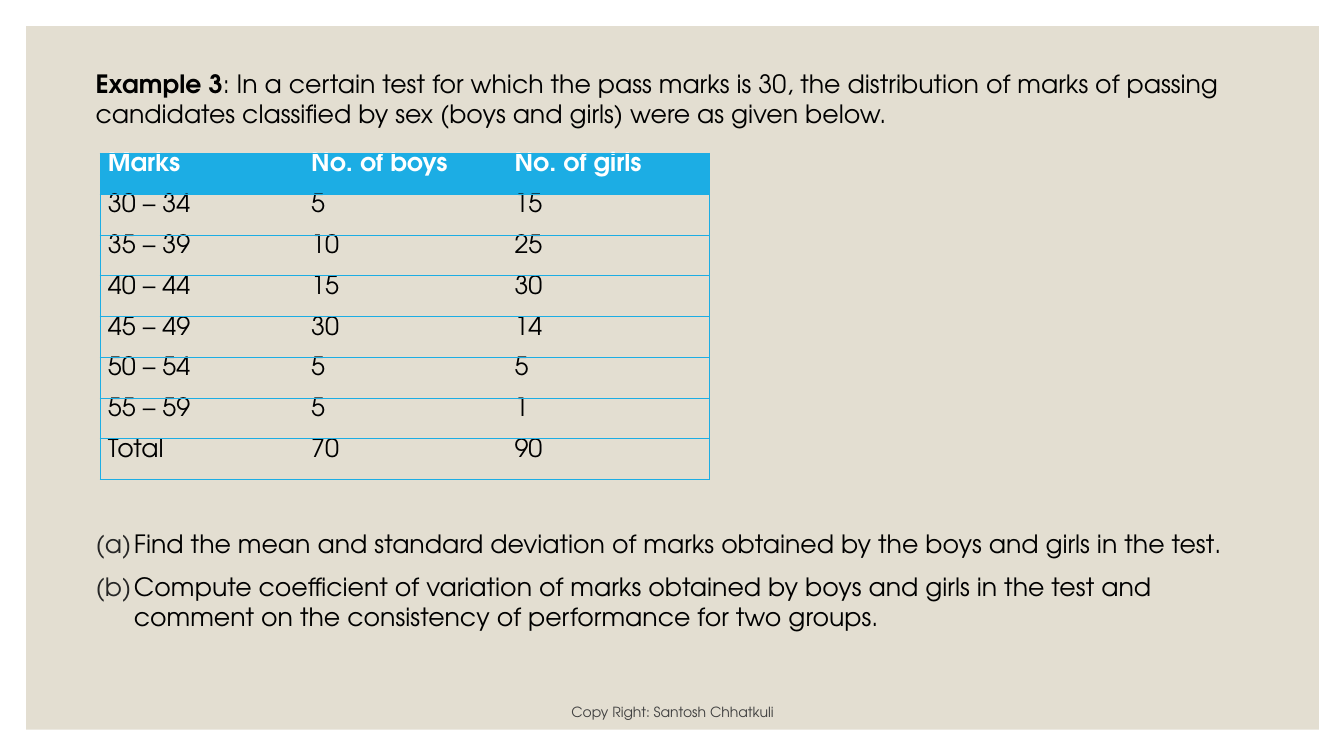
from dataclasses import dataclass

import lxml.etree
import pptx
import pptx.dml.color
import pptx.enum.shapes
import pptx.enum.text
import pptx.oxml.ns
import pptx.slide
import pptx.table
import pptx.text.text
import pptx.util

EMU_PER_PX = 9144  # 100 px to the inch


@dataclass(frozen=True)
class Theme:
    font: str = "TeX Gyre Adventor"
    panel: str = "E3DED1"
    accent: str = "1CADE4"
    ink: str = "000000"
    header_ink: str = "FFFFFF"
    footer_ink: str = "404040"
    numbering: str = "262626"
    body_size: int = 18
    footer_size: int = 10
    paragraph_gap: int = 9
    rule_width: float = 0.5


@dataclass(frozen=True)
class Box:
    left: int
    top: int
    width: int
    height: int

    def emu(self) -> list[pptx.util.Emu]:
        return [px(v) for v in (self.left, self.top, self.width, self.height)]


@dataclass(frozen=True)
class TextBlock:
    box: Box
    paragraphs: tuple[str, ...]
    size: int
    color: str
    lead: str = ""
    numbered: bool = False
    centered: bool = False


THEME = Theme()
PANEL = Box(26, 26, 1282, 698)
MARKS_BOX = Box(99, 152, 605, 324)
CELL_SIDE_MARGIN = 8
NUMBER_INDENT = 38

TEXT_BLOCKS = (
    TextBlock(
        Box(85, 63, 1174, 75),
        (": In a certain test for which the pass marks is 30, the distribution of marks "
         "of passing candidates classified by sex (boys and girls) were as given below.",),
        THEME.body_size, THEME.ink, lead="Example 3",
    ),
    TextBlock(
        Box(85, 519, 1174, 141),
        ("Find the mean and standard deviation of marks obtained by the boys and girls in the test.",
         "Compute coefficient of variation of marks obtained by boys and girls in the test "
         "and comment on the consistency of performance for two groups."),
        THEME.body_size, THEME.ink, numbered=True,
    ),
    TextBlock(
        Box(382, 690, 570, 30), ("Copy Right: Santosh Chhatkuli",),
        THEME.footer_size, THEME.footer_ink, centered=True,
    ),
)

MARKS = (
    ("Marks", "No. of boys", "No. of girls"),
    ("30 – 34", "5", "15"),
    ("35 – 39", "10", "25"),
    ("40 – 44", "15", "30"),
    ("45 – 49", "30", "14"),
    ("50 – 54", "5", "5"),
    ("55 – 59", "5", "1"),
    ("Total", "70", "90"),
)


def px(length: int) -> pptx.util.Emu:
    return pptx.util.Emu(length * EMU_PER_PX)


def rgb(color: str) -> pptx.dml.color.RGBColor:
    return pptx.dml.color.RGBColor.from_string(color)


def add_element(parent: lxml.etree._Element, tag: str, **attributes: str) -> lxml.etree._Element:
    return lxml.etree.SubElement(parent, pptx.oxml.ns.qn(tag), attributes)


def style_run(run: pptx.text.text._Run, size: int, color: str, bold: bool = False) -> None:
    run.font.name = THEME.font
    run.font.size = pptx.util.Pt(size)
    run.font.bold = bold
    run.font.color.rgb = rgb(color)


def number_paragraph(paragraph: pptx.text.text._Paragraph) -> None:
    """Give the paragraph a hanging (a), (b), ... number."""
    properties = paragraph._p.get_or_add_pPr()
    properties.set("marL", str(px(NUMBER_INDENT)))
    properties.set("indent", str(px(-NUMBER_INDENT)))
    add_element(add_element(properties, "a:buClr"), "a:srgbClr", val=THEME.numbering)
    add_element(properties, "a:buFont", typeface=THEME.font)
    add_element(properties, "a:buAutoNum", type="alphaLcParenBoth")


def add_panel(slide: pptx.slide.Slide) -> None:
    panel = slide.shapes.add_shape(pptx.enum.shapes.MSO_SHAPE.RECTANGLE, *PANEL.emu())
    panel.shadow.inherit = False
    panel.fill.solid()
    panel.fill.fore_color.rgb = rgb(THEME.panel)
    panel.line.fill.background()


def add_text_block(slide: pptx.slide.Slide, block: TextBlock) -> None:
    frame = slide.shapes.add_textbox(*block.box.emu()).text_frame
    frame.word_wrap = True
    if block.centered:
        frame.vertical_anchor = pptx.enum.text.MSO_ANCHOR.BOTTOM
    for index, wording in enumerate(block.paragraphs):
        paragraph = frame.add_paragraph() if index else frame.paragraphs[0]
        if block.numbered:
            number_paragraph(paragraph)
        if block.centered:
            paragraph.alignment = pptx.enum.text.PP_ALIGN.CENTER
        if index:
            paragraph.space_before = pptx.util.Pt(THEME.paragraph_gap)
        elif block.lead:
            paragraph.text = block.lead
            style_run(paragraph.runs[0], block.size, block.color, bold=True)
        body = paragraph.add_run()
        body.text = wording
        style_run(body, block.size, block.color)


def rule_cell(cell: pptx.table._Cell, ruled_sides: str) -> None:
    """Rule the given sides of a cell (out of LRTB) and clear the others."""
    properties = cell._tc.get_or_add_tcPr()
    for side in "LRTB":
        rule = add_element(properties, f"a:ln{side}", w=str(pptx.util.Pt(THEME.rule_width)))
        if side in ruled_sides:
            add_element(add_element(rule, "a:solidFill"), "a:srgbClr", val=THEME.accent)
        else:
            add_element(rule, "a:noFill")


def add_marks_table(slide: pptx.slide.Slide) -> None:
    last_column = len(MARKS[0]) - 1
    table = slide.shapes.add_table(len(MARKS), last_column + 1, *MARKS_BOX.emu()).table
    table.horz_banding = False
    for row, entries in enumerate(MARKS):
        is_header = row == 0
        for column, entry in enumerate(entries):
            cell = table.cell(row, column)
            cell.margin_left = cell.margin_right = px(CELL_SIDE_MARGIN)
            cell.margin_top = cell.margin_bottom = 0
            rule_cell(cell, "TB" + "L" * (column == 0) + "R" * (column == last_column))
            if is_header:
                cell.fill.solid()
                cell.fill.fore_color.rgb = rgb(THEME.accent)
            else:
                cell.fill.background()
            cell.text_frame.text = entry
            style_run(cell.text_frame.paragraphs[0].runs[0], THEME.body_size,
                      THEME.header_ink if is_header else THEME.ink, bold=is_header)


def main() -> None:
    presentation = pptx.Presentation()
    presentation.slide_width, presentation.slide_height = px(1333), px(750)
    slide = presentation.slides.add_slide(presentation.slide_layouts[6])
    add_panel(slide)
    add_marks_table(slide)
    for block in TEXT_BLOCKS:
        add_text_block(slide, block)
    presentation.save("out.pptx")


if __name__ == "__main__":
    main()
